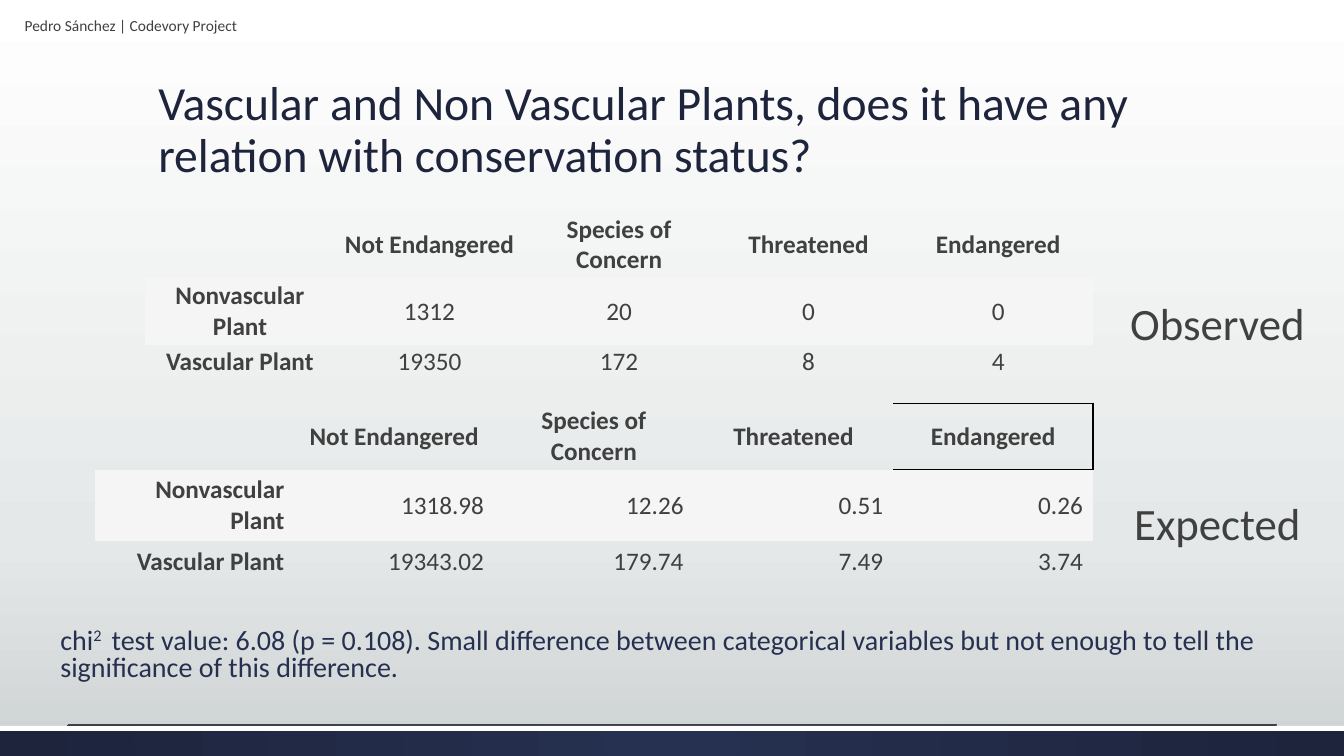
from copy import deepcopy

from lxml.etree import SubElement
from pptx import Presentation
from pptx.dml.color import RGBColor
from pptx.enum.shapes import MSO_CONNECTOR, MSO_SHAPE
from pptx.enum.text import MSO_ANCHOR, PP_ALIGN
from pptx.oxml import parse_xml
from pptx.oxml.ns import nsdecls, qn
from pptx.util import Inches, Pt

WHITE = RGBColor(0xFF, 0xFF, 0xFF)
PALE_GREY = RGBColor(0xE5, 0xE8, 0xE8)
MID_GREY = RGBColor(0xCD, 0xD2, 0xD2)
ROW_GREY = RGBColor(0xF5, 0xF5, 0xF5)
TEXT_GREY = RGBColor(0x40, 0x40, 0x40)
NAVY = RGBColor(0x26, 0x30, 0x50)
DARK_NAVY = RGBColor(0x1D, 0x24, 0x3C)
NO_STYLE_NO_GRID = "{2D5ABB26-0587-4C30-8999-92F81FD0307C}"


def set_gradient(fill, stops):
    """Give the fill these (position, colour) stops and return its XML element."""
    fill.gradient()
    stop_list = fill.gradient_stops[0]._gs.getparent()
    while len(stop_list) < len(stops):
        stop_list.append(deepcopy(stop_list[0]))
    for stop, (position, color) in zip(fill.gradient_stops, stops):
        stop.position = position
        stop.color.rgb = color
    return stop_list.getparent()


def add_run(paragraph, text, size, color, bold=False):
    run = paragraph.add_run()
    run.text = text
    run.font.name = "Calibri"
    run.font.size = Pt(size)
    run.font.color.rgb = color
    run.font.bold = bold
    return run


presentation = Presentation()
presentation.slide_width = Inches(13.33)
presentation.slide_height = Inches(7.5)
slide = presentation.slides.add_slide(presentation.slide_layouts[5])
shapes = slide.shapes

# Background
background = slide.background.fill
set_gradient(background, [(0, WHITE), (0.72, PALE_GREY), (1, MID_GREY)])
background.gradient_angle = 270

# Footer band, its white edge and the rule above it
band = shapes.add_shape(MSO_SHAPE.RECTANGLE, 0, Inches(7.2), Inches(13.33), Inches(0.3))
gradient = set_gradient(band.fill, [(0, NAVY), (1, DARK_NAVY)])
gradient.remove(gradient.find(qn("a:lin")))
radial = SubElement(gradient, qn("a:path"), path="circle")
SubElement(radial, qn("a:fillToRect"), l="50000", t="50000", r="50000", b="50000")

edge = shapes.add_shape(MSO_SHAPE.RECTANGLE, 0, Inches(7.2), Inches(13.33), Inches(0.05))
edge.fill.solid()
edge.fill.fore_color.rgb = WHITE
for shape in (band, edge):
    shape.line.fill.background()
    shape.shadow.inherit = False

rule = shapes.add_connector(
    MSO_CONNECTOR.STRAIGHT, Inches(0.67), Inches(7.19), Inches(12.67), Inches(7.19))
rule.line.color.rgb = TEXT_GREY
rule.line.width = Pt(0.75)
SubElement(rule._element.spPr, qn("a:effectLst"))

# Title
title = shapes.title
title.left, title.top = Inches(1.47), Inches(0.51)
title.width, title.height = Inches(10.4), Inches(1.35)
title.text_frame.word_wrap = True
title.text_frame.vertical_anchor = MSO_ANCHOR.BOTTOM
paragraph = title.text_frame.paragraphs[0]
paragraph.alignment = PP_ALIGN.LEFT
paragraph.line_spacing = 0.9
add_run(paragraph, "Vascular and Non Vascular Plants, does it have any "
        "relation with conservation status?", 34, DARK_NAVY)

# Observed and expected counts: left, top, column width, row heights,
# alignment and (side, top) margins of the body cells, values
HEADER = ["", "Not Endangered", "Species of Concern", "Threatened", "Endangered"]
TABLES = [
    (1.44, 2.1, 1.88, [0.66, 0.66, 0.35], PP_ALIGN.CENTER, (0.05, 0.02),
     [["Nonvascular Plant", "1312", "20", "0", "0"],
      ["Vascular Plant", "19350", "172", "8", "4"]]),
    (0.94, 4, 1.98, [0.66, 0.71, 0.4], PP_ALIGN.RIGHT, (0.1, 0.05),
     [["Nonvascular Plant", "1318.98", "12.26", "0.51", "0.26"],
      ["Vascular Plant", "19343.02", "179.74", "7.49", "3.74"]]),
]
for left, top, column_width, heights, body_alignment, body_margins, body in TABLES:
    table = shapes.add_table(
        3, 5, Inches(left), Inches(top),
        Inches(5 * column_width), Inches(sum(heights))).table
    table._tbl.tblPr.find(qn("a:tableStyleId")).text = NO_STYLE_NO_GRID
    for column in table.columns:
        column.width = Inches(column_width)
    for row, height in zip(table.rows, heights):
        row.height = Inches(height)
    for row_index, values in enumerate([HEADER] + body):
        is_header = row_index == 0
        side, vertical = (0.05, 0.02) if is_header else body_margins
        for column_index, value in enumerate(values):
            cell = table.cell(row_index, column_index)
            cell.vertical_anchor = MSO_ANCHOR.MIDDLE
            cell.margin_left = cell.margin_right = Inches(side)
            cell.margin_top = cell.margin_bottom = Inches(vertical)
            if row_index == 1:
                cell.fill.solid()
                cell.fill.fore_color.rgb = ROW_GREY
            else:
                cell.fill.background()
            if value:
                paragraph = cell.text_frame.paragraphs[0]
                paragraph.alignment = PP_ALIGN.CENTER if is_header else body_alignment
                add_run(paragraph, value, 18, TEXT_GREY,
                        bold=is_header or column_index == 0)

# The last header cell of the expected table is outlined on three sides
cell_properties = table.cell(0, 4)._tc.get_or_add_tcPr()
for index, side in enumerate(("lnR", "lnT", "lnB")):
    cell_properties.insert(index, parse_xml(
        f'<a:{side} {nsdecls("a")} w="12700"><a:solidFill>'
        f'<a:srgbClr val="000000"/></a:solidFill></a:{side}>'))

# Text boxes: left, top, width, height, alignment, line spacing, runs
CHI_RESULT = (" test value: 6.08 (p = 0.108). Small difference between categorical "
              "variables but not enough to tell the significance of this difference.")
TEXTS = [
    (11.08, 2.88, 1.99, 0.64, PP_ALIGN.CENTER, 1, 32, TEXT_GREY, ["Observed"]),
    (11.08, 4.87, 1.99, 0.64, PP_ALIGN.CENTER, 1, 32, TEXT_GREY, ["Expected"]),
    (0.5, 6.19, 12.55, 0.67, PP_ALIGN.LEFT, 0.8, 20, NAVY, ["chi", "2 ", CHI_RESULT]),
    (0, 0.13, 2.6, 0.31, PP_ALIGN.CENTER, 0.9, 11, TEXT_GREY,
     ["Pedro Sánchez | Codevory Project"]),
]
for left, top, width, height, alignment, spacing, size, color, parts in TEXTS:
    box = shapes.add_textbox(Inches(left), Inches(top), Inches(width), Inches(height))
    box.text_frame.word_wrap = True
    paragraph = box.text_frame.paragraphs[0]
    paragraph.alignment = alignment
    paragraph.line_spacing = spacing
    for part in parts:
        run = add_run(paragraph, part, size, color)
        if part == "2 ":
            run.font._element.set("baseline", "30000")

presentation.save("out.pptx")
